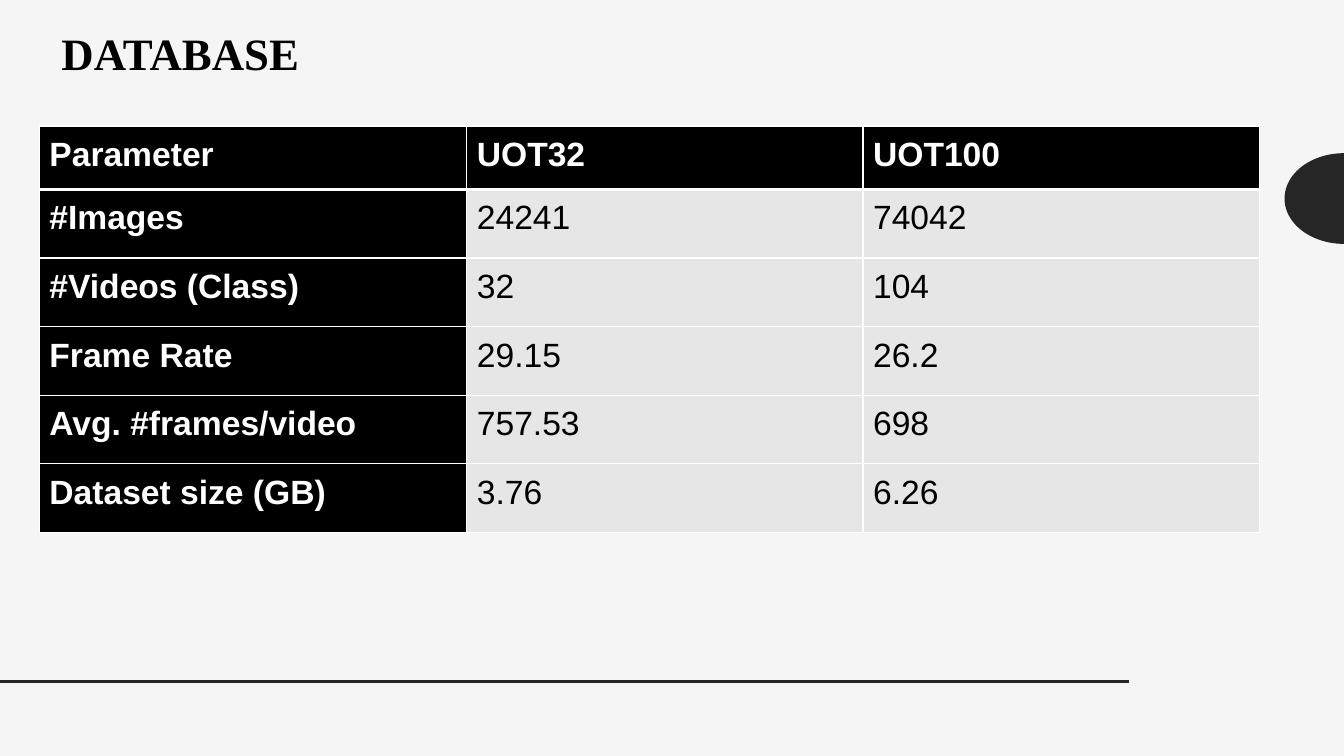
import math

import pptx
import pptx.dml.color
import pptx.enum.shapes
import pptx.enum.text
import pptx.oxml
import pptx.oxml.ns
import pptx.util
from pptx.util import Inches

COLOURS = {
    "background": "F5F5F5",
    "accent": "262626",
    "dark": "000000",
    "light": "FFFFFF",
    "cell": "E6E6E6",
}

ROWS = [
    ["Parameter", "UOT32", "UOT100"],
    ["#Images", "24241", "74042"],
    ["#Videos (Class)", "32", "104"],
    ["Frame Rate", "29.15", "26.2"],
    ["Avg. #frames/video", "757.53", "698"],
    ["Dataset size (GB)", "3.76", "6.26"],
]


def colour(name):
    return pptx.dml.color.RGBColor.from_string(COLOURS[name])


def set_fill(target, name):
    target.fill.solid()
    target.fill.fore_color.rgb = colour(name)


def set_font(paragraph, family, size, name, bold):
    font = paragraph.font
    font.name = family
    font.size = pptx.util.Pt(size)
    font.color.rgb = colour(name)
    font.bold = bold


def add_half_ellipse(slide, right, middle, radius_x, radius_y, steps=48):
    points = []
    for step in range(steps + 1):
        angle = math.pi * step / steps
        points.append((Inches(right - radius_x * math.sin(angle)),
                       Inches(middle - radius_y * math.cos(angle))))
    builder = slide.shapes.build_freeform(*points[0])
    builder.add_line_segments(points[1:], close=True)
    shape = builder.convert_to_shape()
    shape.shadow.inherit = False
    set_fill(shape, "accent")
    shape.line.fill.background()


def add_rule(slide, left, right, top):
    connector = slide.shapes.add_connector(
        pptx.enum.shapes.MSO_CONNECTOR.STRAIGHT,
        Inches(right), Inches(top), Inches(left), Inches(top))
    connector.line.color.rgb = colour("accent")
    connector.line.width = pptx.util.Pt(2)
    properties = connector._element.spPr
    properties.append(properties.makeelement(pptx.oxml.ns.qn("a:effectLst"), {}))


def format_title(slide, text):
    title = slide.shapes.title
    title.left, title.top = Inches(0.51), Inches(0.29)
    title.width, title.height = Inches(10.09), Inches(0.92)
    frame = title.text_frame
    frame.text = text
    frame.word_wrap = True
    frame.auto_size = pptx.enum.text.MSO_AUTO_SIZE.NONE
    frame.vertical_anchor = pptx.enum.text.MSO_ANCHOR.TOP
    paragraph = frame.paragraphs[0]
    paragraph.alignment = pptx.enum.text.PP_ALIGN.LEFT
    paragraph.line_spacing = 0.85
    set_font(paragraph, "Times New Roman", 32, "dark", True)


def set_borders(cell, widths):
    """Draw the cell's left, right, top and bottom lines, in points."""
    properties = cell._tc.get_or_add_tcPr()
    for index, (side, width) in enumerate(zip("LRTB", widths)):
        border = pptx.oxml.parse_xml(
            f'<a:ln{side} {pptx.oxml.ns.nsdecls("a")} w="{pptx.util.Pt(width)}">'
            f'<a:solidFill><a:srgbClr val="{COLOURS["light"]}"/></a:solidFill>'
            f'</a:ln{side}>')
        properties.insert(index, border)


def fill_cell(cell, text, row, column):
    heading = row == 0 or column == 0
    cell.text = text
    cell.margin_left = cell.margin_right = Inches(0.1)
    cell.margin_top = cell.margin_bottom = Inches(0.1)
    set_font(cell.text_frame.paragraphs[0], "Arial", 24,
             "light" if heading else "dark", heading)
    set_fill(cell, "dark" if heading else "cell")
    set_borders(cell, (1, 1, 3 if row == 1 else 1, 3 if row == 0 else 1))


def add_data_table(slide, left, top, widths, heights):
    table = slide.shapes.add_table(
        len(heights), len(widths), Inches(left), Inches(top),
        Inches(sum(widths)), Inches(sum(heights))).table
    for column, width in zip(table.columns, widths):
        column.width = Inches(width)
    for row, height in zip(table.rows, heights):
        row.height = Inches(height)
    for row, texts in enumerate(ROWS):
        for column, text in enumerate(texts):
            fill_cell(table.cell(row, column), text, row, column)


def main():
    presentation = pptx.Presentation()
    presentation.slide_width = Inches(13.33)
    presentation.slide_height = Inches(7.5)
    slide = presentation.slides.add_slide(presentation.slide_layouts[5])
    set_fill(slide.background, "background")

    # Decoration
    add_half_ellipse(slide, right=13.33, middle=1.97, radius_x=0.59, radius_y=0.45)
    add_rule(slide, left=0, right=11.2, top=6.76)

    # Title and data
    format_title(slide, "DATABASE")
    add_data_table(slide, 0.39, 1.25, [4.24, 3.93, 3.93],
                   [0.63] + [0.68] * (len(ROWS) - 1))

    presentation.save("out.pptx")


if __name__ == "__main__":
    main()
